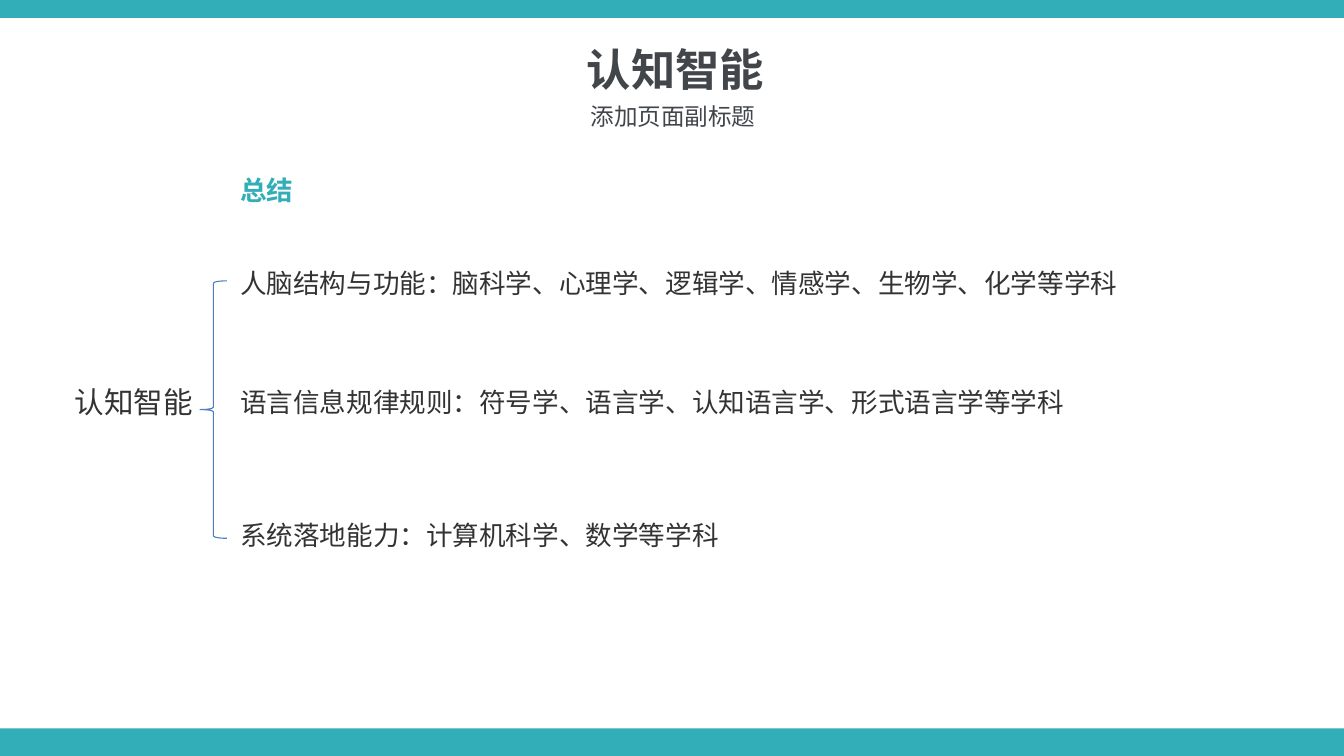
import lxml.etree
import pptx
import pptx.dml.color
import pptx.enum.shapes
import pptx.enum.text
import pptx.oxml.ns
import pptx.util

Cm = pptx.util.Cm
FONT = "Noto Sans CJK SC"
COLORS = {"teal": "32AEB8", "title": "42464B", "body": "333333", "brace": "4B7EBC"}
WIDTH, HEIGHT = 32.11, 18.06
TOP_BAR, BOTTOM_BAR = 0.43, 0.66
BRANCH_LEFT = 5.74

# text, left, top, width, height (cm), size (pt), colour, bold, centred
HEADINGS = [
    ("认知智能", 8.64, 0.79, 14.99, 1.5, 30, "title", True, True),
    ("添加页面副标题", 8.59, 2.29, 14.99, 0.84, 16, "title", False, True),
    ("总结", BRANCH_LEFT, 3.99, 5.74, 0.97, 18, "teal", True, False),
    ("认知智能", 1.78, 9.04, 3.28, 0.99, 20, "body", False, False),
]
# text, top, width (cm)
BRANCHES = [
    ("人脑结构与功能：脑科学、心理学、逻辑学、情感学、生物学、化学等学科", 6.25, 24.84),
    ("语言信息规律规则：符号学、语言学、认知语言学、形式语言学等学科", 9.09, 26.09),
    ("系统落地能力：计算机科学、数学等学科", 12.27, 20.19),
]


def rgb(name):
    return pptx.dml.color.RGBColor.from_string(COLORS[name])


def add_bar(slide, top, height):
    sp = slide.shapes.add_shape(pptx.enum.shapes.MSO_SHAPE.RECTANGLE,
                                0, Cm(top), Cm(WIDTH), Cm(height))
    sp.shadow.inherit = False
    sp.fill.solid()
    sp.fill.fore_color.rgb = rgb("teal")
    sp.line.fill.background()


def add_text(slide, text, left, top, width, height, size, color, bold=False, centred=False):
    sp = slide.shapes.add_textbox(Cm(left), Cm(top), Cm(width), Cm(height))
    tf = sp.text_frame
    tf.word_wrap = True
    tf.vertical_anchor = pptx.enum.text.MSO_ANCHOR.MIDDLE
    tf.margin_left = tf.margin_right = tf.margin_top = tf.margin_bottom = 0
    tf.text = text
    p = tf.paragraphs[0]
    p.line_spacing = 1.16
    align = pptx.enum.text.PP_ALIGN
    p.alignment = align.CENTER if centred else align.LEFT
    r = p.runs[0]
    r.font.size = pptx.util.Pt(size)
    r.font.bold = bold
    r.font.color.rgb = rgb(color)
    r.font.name = FONT
    ea = lxml.etree.SubElement(r.font._element, pptx.oxml.ns.qn("a:ea"))
    ea.set("typeface", FONT)


def add_brace(slide, left, top, width, height):
    sp = slide.shapes.add_shape(pptx.enum.shapes.MSO_SHAPE.LEFT_BRACE,
                                Cm(left), Cm(top), Cm(width), Cm(height))
    sp.shadow.inherit = False
    sp.fill.background()
    sp.line.color.rgb = rgb("brace")
    sp.line.width = pptx.util.Pt(0.75)


def main():
    prs = pptx.Presentation()
    prs.slide_width, prs.slide_height = Cm(WIDTH), Cm(HEIGHT)
    slide = prs.slides.add_slide(prs.slide_layouts[6])
    add_bar(slide, 0, TOP_BAR)
    add_bar(slide, HEIGHT - BOTTOM_BAR, BOTTOM_BAR)
    for heading in HEADINGS:
        add_text(slide, *heading)
    add_brace(slide, 4.78, 6.71, 0.64, 6.15)
    for text, top, width in BRANCHES:
        add_text(slide, text, BRANCH_LEFT, top, width, 0.89, 18, "body")
    prs.save("out.pptx")


if __name__ == "__main__":
    main()
